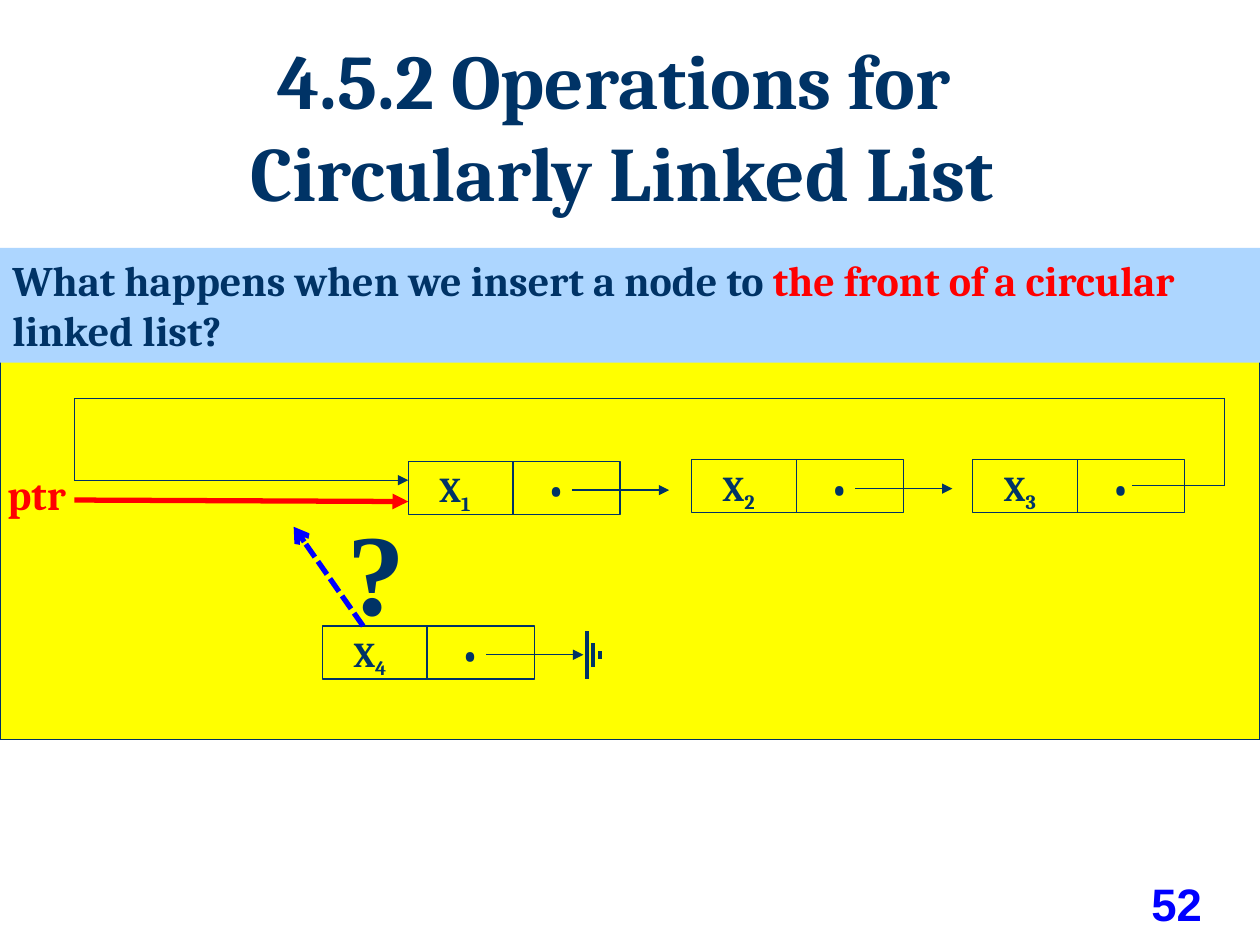
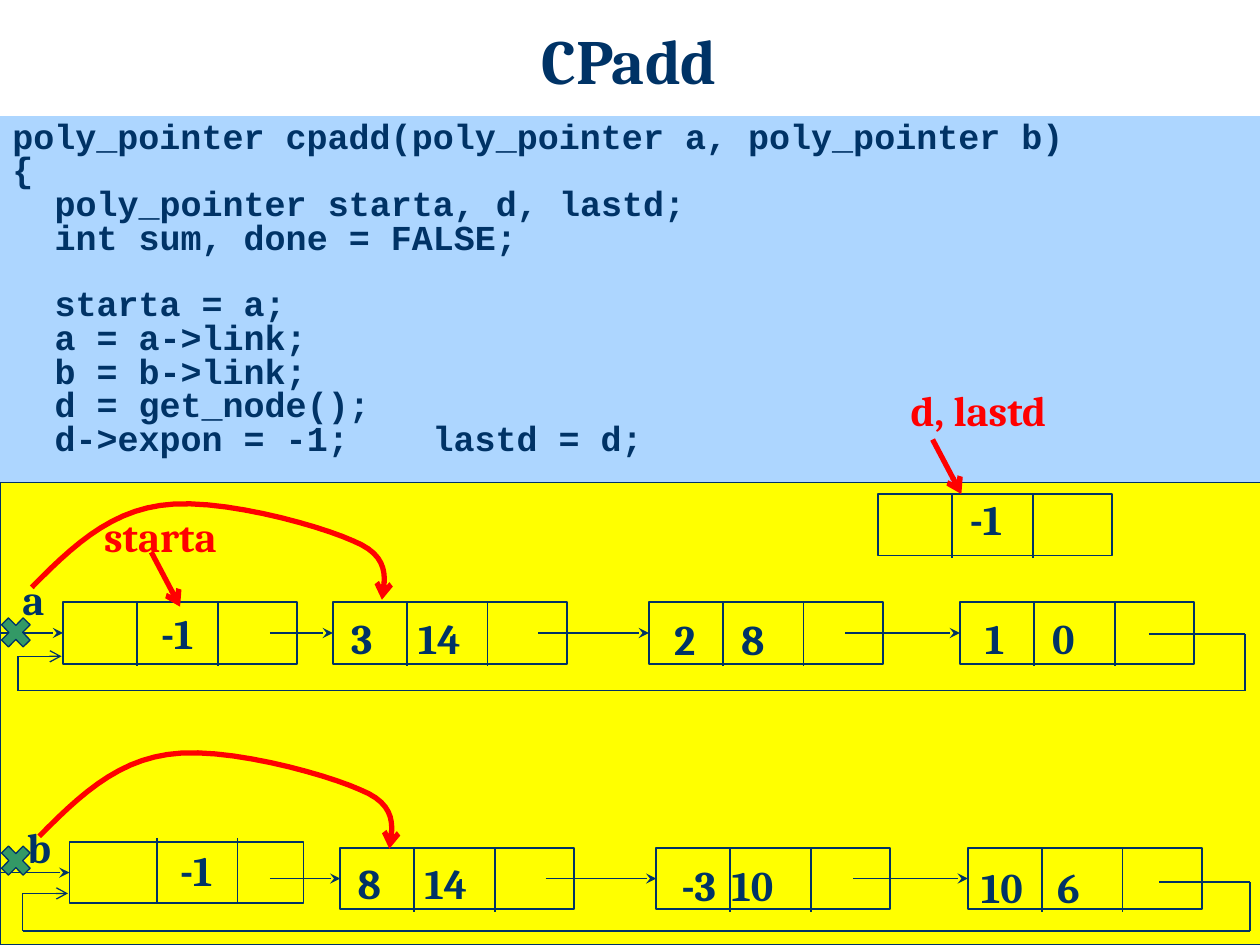
"""Build two slides on circularly linked lists: front insertion and cpadd."""
from itertools import pairwise

from lxml.etree import SubElement
from pptx import Presentation
from pptx.dml.color import RGBColor
from pptx.enum.dml import MSO_LINE
from pptx.enum.shapes import MSO_CONNECTOR, MSO_SHAPE
from pptx.enum.text import MSO_ANCHOR, PP_ALIGN
from pptx.oxml.ns import qn
from pptx.util import Cm, Pt

rgb = RGBColor.from_string
NAVY, RED, BLUE = "003366", "FF0000", "0000FF"
YELLOW, PALE_BLUE, GREEN = "FFFF00", "ADD6FF", "339966"
CENTER = PP_ALIGN.CENTER


def draw_box(slide, left, top, width, height, paragraphs=(), size=24, font="Cambria",
             align=PP_ALIGN.LEFT, anchor=MSO_ANCHOR.TOP, fill=None, line=None,
             preset=MSO_SHAPE.RECTANGLE):
    """Add a shape or plain text box; each paragraph is a list of (text, colour) runs."""
    place = Cm(left), Cm(top), Cm(width), Cm(height)
    if fill or line:
        shape = slide.shapes.add_shape(preset, *place)
        shape.shadow.inherit = False
        if fill:
            shape.fill.solid()
            shape.fill.fore_color.rgb = rgb(fill)
        else:
            shape.fill.background()
        if line:
            shape.line.color.rgb = rgb(NAVY)
            shape.line.width = Pt(line)
        else:
            shape.line.fill.background()
    else:
        shape = slide.shapes.add_textbox(*place)
    frame = shape.text_frame
    frame.word_wrap = True
    frame.vertical_anchor = anchor
    for index, runs in enumerate(paragraphs):
        paragraph = frame.add_paragraph() if index else frame.paragraphs[0]
        paragraph.alignment = align
        for text, color in runs:
            run = paragraph.add_run()
            run.text = text
            run.font.name = font
            run.font.size = Pt(size)
            run.font.bold = True
            run.font.color.rgb = rgb(color)
    return shape


def draw_line(slide, points, color=NAVY, width=0.75, head=None, curved=False):
    """Draw connectors through the points, or one open curve, and return the last part."""
    points = [(Cm(x), Cm(y)) for x, y in points]
    if curved:
        builder = slide.shapes.build_freeform(*points[0], scale=1.0)
        builder.add_line_segments(points[1:], close=False)
        parts = [builder.convert_to_shape()]
        parts[0].fill.background()
    else:
        parts = [slide.shapes.add_connector(MSO_CONNECTOR.STRAIGHT, *start, *end)
                 for start, end in pairwise(points)]
    for part in parts:
        part.line.color.rgb = rgb(color)
        part.line.width = Pt(width)
        SubElement(part._element.spPr, qn("a:effectLst"))
    if head:
        SubElement(parts[-1].line._get_or_add_ln(), qn("a:tailEnd"), type=head)
    return parts[-1]


presentation = Presentation()
presentation.slide_width, presentation.slide_height = Cm(25.4), Cm(19.05)
blank_layout = presentation.slide_layouts[6]

slide = presentation.slides.add_slide(blank_layout)
draw_box(slide, 0, 7.24, 25.4, 7.67, fill=YELLOW, line=0.75)
draw_box(slide, 0, 5, 25.4, 2.31, [
    [("What happens when we insert a node to ", NAVY), ("the front of a circular", RED)],
    [("linked list?", NAVY)]], fill=PALE_BLUE)
draw_box(slide, 4.6, 0.53, 15.9, 4.01, [
    [("4.5.2 Operations for ", NAVY)], [("Circularly Linked List", NAVY)]],
    size=44, align=CENTER)
draw_box(slide, 22.5, 17.53, 2.44, 1.35, [[("52", BLUE)]], size=26, font="Arial",
         align=CENTER, anchor=MSO_ANCHOR.BOTTOM)

list_nodes = [("1", 8.23, 9.3), ("2", 13.94, 9.27), ("3", 19.61, 9.27), ("4", 6.5, 12.62)]
for number, left, top in list_nodes:
    draw_box(slide, left, top, 4.27, 1.07, line=0.75)
    draw_line(slide, [(left + 2.11, top), (left + 2.11, top + 1.07)])
    name = draw_box(slide, left + 0.38, top, 1.7, 1.12, [[("X", NAVY), (number, NAVY)]], size=20)
    subscript = name.text_frame.paragraphs[0].runs[1]
    subscript._r.get_or_add_rPr().set("baseline", "-25000")
    draw_box(slide, left + 2.53, top, 0.9, 1.12, [[("•", NAVY)]], size=20, align=CENTER)
    if number != "3":
        draw_line(slide, [(left + 3.3, top + 0.58), (left + 5.26, top + 0.58)], head="triangle")

draw_line(slide, [(22.83, 9.79), (24.69, 9.79), (24.69, 8.03), (1.5, 8.03),
                  (1.5, 9.68), (8.23, 9.68)], head="triangle")
draw_line(slide, [(1.5, 10.08), (8.23, 10.11)], RED, 3, "triangle")
draw_box(slide, -0.1, 9.32, 2, 1.27, [[("ptr", RED)]])
for left, half_height in [(11.84, 0.48), (11.96, 0.24), (12.09, 0.08)]:
    draw_line(slide, [(left, 13.2 + half_height), (left, 13.2 - half_height)], width=2.25)
question_arrow = draw_line(slide, [(7.32, 12.62), (5.92, 10.62)], BLUE, 3, "arrow")
question_arrow.line.dash_style = MSO_LINE.SQUARE_DOT
draw_box(slide, 6.76, 9.96, 1.68, 3.07, [[("?", NAVY)]], size=66, font="Times New Roman")

slide = presentation.slides.add_slide(blank_layout)
draw_box(slide, 7.49, -0.08, 10.39, 2.57, [[("CPadd", NAVY)]], size=36,
         align=CENTER, anchor=MSO_ANCHOR.MIDDLE)
code_lines = [
    "poly_pointer cpadd(poly_pointer a, poly_pointer b)",
    "{",
    "\tpoly_pointer starta, d, lastd;",
    "\tint sum, done = FALSE;",
    "\tstarta = a;",
    "\ta = a->link;",
    "\tb = b->link;",
    "\td = get_node();",
    "\td->expon = -1;\tlastd = d;",
]
code = draw_box(slide, 0, 2.34, 25.4, 7.39, [[(text, NAVY)] for text in code_lines],
                size=20, font="Courier New", fill=PALE_BLUE)
for paragraph in code.text_frame.paragraphs:
    paragraph.line_spacing = 0.8
    tab_list = SubElement(paragraph._p.get_or_add_pPr(), qn("a:tabLst"))
    for position in (0.85, 8.47):
        SubElement(tab_list, qn("a:tab"), pos=str(Cm(position)), algn="l")
code.text_frame.paragraphs[4].space_before = Pt(19)
draw_box(slide, 0, 9.73, 25.5, 9.32, fill=YELLOW, line=0.75)

LINK, DIVIDERS = 1, (1.49, 3.12)
polynomial_nodes = [
    (1.27, 12.14, -0.1, 12.12, [(3, "-1")]),
    (6.71, 12.14, 5.44, 12.22, [(6.83, "3"), (8.18, "14")]),
    (13.08, 12.14, 10.85, 12.24, [(13.34, "2"), (14.69, "8")]),
    (19.35, 12.14, 17.04, 12.22, [(19.61, "1"), (20.96, "0")]),
    (1.4, 16.97, 0, 16.89, [(3.38, "-1")]),
    (6.86, 17.09, 5.44, 17.17, [(6.96, "8"), (8.31, "14")]),
    (13.23, 17.09, 11, 17.2, [(13.49, "-3"), (14.5, "10")]),
    (19.51, 17.09, 17.2, 17.25, [(19.53, "10"), (21.06, "6")]),
    (17.7, 9.96, None, 9.83, [(19.3, "-1")]),
]
for left, top, link_start, text_top, values in polynomial_nodes:
    node = draw_box(slide, left, top, 4.72, 1.24, line=LINK)
    shift_x, shift_y = (0.27, -0.08) if top == 16.97 else (0, 0)
    for divider in DIVIDERS:
        x = left + divider + shift_x
        draw_line(slide, [(x, top + shift_y), (x, top + shift_y + 1.29)], width=LINK)
    for text_left, value in values:
        draw_box(slide, text_left, text_top, 1.6, 1.3, [[(value, NAVY)]])
    if link_start is not None:
        middle = top + 0.62
        link = draw_line(slide, [(link_start, middle), (left, middle)], width=LINK, head="stealth")
        link.end_connect(node, 1)

draw_line(slide, [(23.16, 12.78), (25.1, 12.78), (25.1, 13.92), (0.36, 13.92),
                  (0.36, 13.23), (1.24, 13.23)], head="arrow")
draw_line(slide, [(23.37, 17.78), (25.2, 17.78), (25.2, 18.77), (0.46, 18.77),
                  (0.46, 18.01), (1.37, 18.01)], head="arrow")

for left, top, text, color in [
    (1.85, 10.16, "starta", RED), (18.11, 7.62, "d, lastd", RED),
    (0.2, 11.43, "a", NAVY), (0.3, 16.43, "b", NAVY),
]:
    draw_box(slide, left, top, 3.6, 1.3, [[(text, color)]])
for start in [(3.05, 11.13), (18.8, 8.86)]:
    draw_line(slide, [start, (start[0] + 0.58, start[1] + 1.1)], RED, 3, "arrow")

bezier_points = [(0.64, 11.84), (1.4, 11.07), (2.16, 10.34), (3.23, 10.19), (4.32, 10.01),
                 (6.38, 10.57), (7.11, 10.9), (7.87, 11.2), (7.77, 11.66), (7.7, 12.09)]
STEPS = 12
curve = bezier_points[:1]
for first in (0, 3, 6):
    controls = bezier_points[first:first + 4]
    for step in range(1, STEPS + 1):
        t = step / STEPS
        weights = (1 - t) ** 3, 3 * t * (1 - t) ** 2, 3 * t ** 2 * (1 - t), t ** 3
        curve.append(tuple(sum(weight * point[axis] for weight, point in zip(weights, controls))
                           for axis in (0, 1)))
for shift_x, shift_y, cross_top in [(0, 0, 12.32), (0.15, 5.02, 16.92)]:
    draw_line(slide, [(x + shift_x, y + shift_y) for x, y in curve], RED, 3, "arrow", curved=True)
    draw_box(slide, -0.1, cross_top, 0.84, 0.86, fill=GREEN, line=0.75,
             preset=MSO_SHAPE.MATH_MULTIPLY)

presentation.save("out.pptx")
